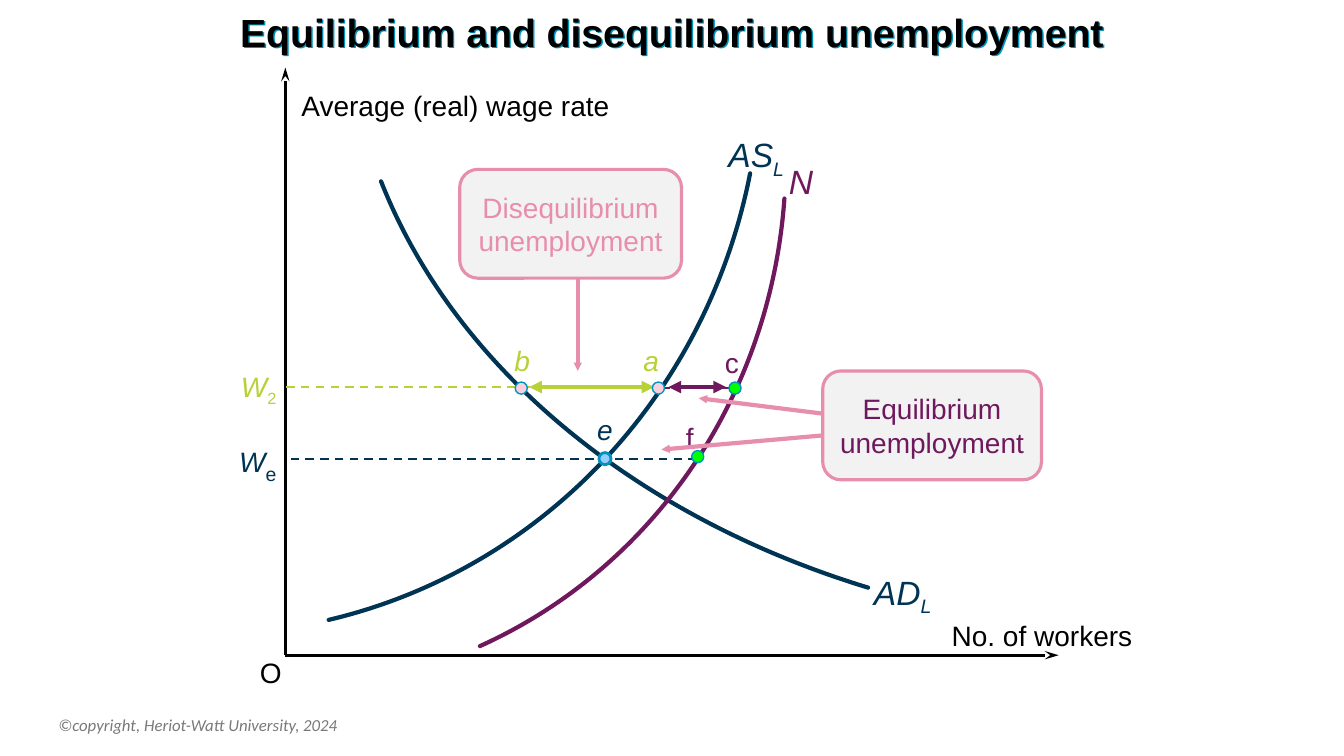
from lxml.etree import SubElement
from pptx import Presentation
from pptx.dml.color import RGBColor
from pptx.enum.dml import MSO_LINE
from pptx.enum.shapes import MSO_CONNECTOR, MSO_SHAPE
from pptx.enum.text import MSO_ANCHOR, MSO_AUTO_SIZE, PP_ALIGN
from pptx.oxml.ns import qn
from pptx.util import Inches, Pt

BLACK = RGBColor(0x00, 0x00, 0x00)
NAVY = RGBColor(0x00, 0x34, 0x54)
PLUM = RGBColor(0x6F, 0x18, 0x5E)
LIME = RGBColor(0xB8, 0xD1, 0x37)
PINK = RGBColor(0xE8, 0x8E, 0xAD)
BLUSH = RGBColor(0xF9, 0xD0, 0xDE)
GREEN = RGBColor(0x00, 0xFF, 0x00)
SKY = RGBColor(0x99, 0xCC, 0xFF)
TEAL = RGBColor(0x00, 0x94, 0xBD)
PALE = RGBColor(0xF2, 0xF2, 0xF2)
GREY = RGBColor(0x79, 0x79, 0x79)
LEFT, MID, RIGHT = PP_ALIGN.LEFT, PP_ALIGN.CENTER, PP_ALIGN.RIGHT

TITLE = "Equilibrium and disequilibrium unemployment"
FOOTER = "©copyright, Heriot-Watt University, 2024"

# arrowheads
BARB = {"type": "stealth", "w": "med", "len": "lg"}
WEDGE = {"type": "triangle", "w": "med", "len": "med"}
SMALL = {"type": "triangle", "w": "sm", "len": "sm"}

# start, two control points, end; colour
CURVES = [
    ([(7.44, 1.72), (7.01, 3.92), (5.38, 5.65), (3.26, 6.15)], NAVY),
    ([(8.61, 5.83), (6.28, 5.12), (4.5, 3.63), (3.78, 1.8)], NAVY),
    ([(7.78, 1.97), (7.64, 3.93), (6.49, 5.63), (4.76, 6.41)], PLUM),
]
# from, to, colour, width, dashed, head, tail
AXES = [
    ((2.83, 0.67), (2.83, 6.5), BLACK, 2, False, BARB, None),
    ((2.83, 6.5), (10.5, 6.5), BLACK, 2, False, None, BARB),
]
LEVELS = [
    ((6.56, 3.85), (7.3, 3.85), PLUM, 1.5, True, None, None),
    ((6.63, 3.84), (7.2, 3.84), PLUM, 3, False, WEDGE, WEDGE),
    ((2.84, 3.84), (6.52, 3.84), LIME, 1.5, True, None, None),
    ((5.25, 3.84), (6.49, 3.84), LIME, 3, False, WEDGE, WEDGE),
    ((6.91, 4.55), (2.84, 4.55), NAVY, 1.5, True, None, None),
]
POINTERS = [
    ((5.73, 2.76), (5.73, 3.68), PINK, 3, False, None, SMALL),
    ((8.21, 4.11), (6.93, 3.95), PINK, 3, False, None, SMALL),
    ((8.16, 4.32), (6.56, 4.46), PINK, 3, False, None, SMALL),
]
# centre, fill, line width
DOTS = [
    ((5.17, 3.85), BLUSH, 1),
    ((6.53, 3.85), BLUSH, 1),
    ((7.29, 3.85), GREEN, 1),
    ((6, 4.55), SKY, 2),
    ((6.92, 4.53), GREEN, 1),
]
# left, top, width, text, size, colour, italic, align, subscript (text, size, italic)
LABELS = [
    (2.48, 6.45, 0.42, "O", 20, BLACK, False, LEFT, None),
    (2.89, 0.83, 3.28, "Average (real) wage rate", 20, BLACK, False, LEFT, None),
    (9.33, 6.09, 2.01, "No. of workers", 20, BLACK, False, MID, None),
    (7.11, 1.28, 0.78, "AS", 24, NAVY, True, MID, ("L", 24, True)),
    (8.57, 5.62, 0.8, "AD", 24, NAVY, True, LEFT, ("L", 24, True)),
    (7.72, 1.55, 0.45, "N", 24, PLUM, True, MID, None),
    (2.27, 3.62, 0.57, "W", 20, LIME, True, RIGHT, ("2", 20, False)),
    (2.25, 4.31, 0.59, "W", 20, NAVY, True, RIGHT, ("e", 24, False)),
    (5, 3.36, 0.36, "b", 20, LIME, True, MID, None),
    (6.28, 3.36, 0.36, "a", 20, LIME, True, MID, None),
    (7.09, 3.38, 0.34, "c", 20, PLUM, False, MID, None),
    (5.82, 4.04, 0.36, "e", 20, NAVY, True, MID, None),
    (6.7, 4.12, 0.28, "f", 20, PLUM, False, MID, None),
]
# left, top, width, lines, colour
BOXES = [
    (4.56, 1.68, 2.2, ["Disequilibrium", "unemployment"], PINK),
    (8.16, 3.68, 2.17, ["Equilibrium", "unemployment"], PLUM),
]

deck = Presentation()
deck.slide_width, deck.slide_height = Inches(13.33), Inches(7.5)
slide = deck.slides.add_slide(deck.slide_layouts[6])
shapes = slide.shapes


def add_run(para, text, color, **form):
    run = para.add_run()
    run.text = text
    run.font.color.rgb = color
    for key, value in {"name": "Arial", **form}.items():
        setattr(run.font, key, value)
    return run


def add_text(left, top, width, height, **form):
    """Add an empty text box with its frame set from the form."""
    box = shapes.add_textbox(*map(Inches, (left, top, width, height)))
    for key, value in form.items():
        setattr(box.text_frame, key, value)
    return box


def add_line(start, end, color, width, dashed, head, tail):
    link = shapes.add_connector(MSO_CONNECTOR.STRAIGHT, *map(Inches, start + end))
    link.line.color.rgb = color
    link.line.width = Pt(width)
    if dashed:
        link.line.dash_style = MSO_LINE.DASH
    for tag, tip in (("a:headEnd", head), ("a:tailEnd", tail)):
        if tip:
            SubElement(link.line._get_or_add_ln(), qn(tag), **tip)
    SubElement(link._element.spPr, qn("a:effectLst"))


def add_curve(knots, color):
    """Draw one cubic curve by joining the three segments into a Bezier."""
    points = [tuple(map(Inches, knot)) for knot in knots]
    draft = shapes.build_freeform(*points[0])
    draft.add_line_segments(points[1:], close=False)
    curve = draft.convert_to_shape()
    lines = list(curve._element.iter(qn("a:lnTo")))
    bend = SubElement(lines[0].getparent(), qn("a:cubicBezTo"))
    for line in lines:
        bend.append(line[0])
        line.getparent().remove(line)
    curve.shadow.inherit = False
    curve.fill.background()
    curve.line.color.rgb = color
    curve.line.width = Pt(3)
    curve.line._get_or_add_ln().set("cap", "rnd")


def add_form(kind, left, top, width, height, fill, edge, weight):
    form = shapes.add_shape(kind, *map(Inches, (left, top, width, height)))
    form.shadow.inherit = False
    form.fill.solid()
    form.fill.fore_color.rgb = fill
    form.line.color.rgb = edge
    form.line.width = Pt(weight)
    return form


def add_label(left, top, width, text, size, color, italic, align, sub):
    box = add_text(left, top, width, 0.51 if size == 24 else 0.44,
                   word_wrap=False, auto_size=MSO_AUTO_SIZE.SHAPE_TO_FIT_TEXT)
    para = box.text_frame.paragraphs[0]
    para.alignment = align
    add_run(para, text, color, size=Pt(size), italic=italic)
    if sub:
        low, low_size, low_italic = sub
        run = add_run(para, low, color, size=Pt(low_size), italic=low_italic)
        run._r.get_or_add_rPr().set("baseline", "-25000")


def add_box(left, top, width, lines, color):
    box = add_form(MSO_SHAPE.ROUNDED_RECTANGLE, left, top, width, 1.08, PALE, PINK, 2.25)
    frame = box.text_frame
    frame.word_wrap = False
    frame.vertical_anchor = MSO_ANCHOR.MIDDLE
    for i, text in enumerate(lines):
        para = frame.add_paragraph() if i else frame.paragraphs[0]
        para.alignment = MID
        add_run(para, text, color, size=Pt(20))


def add_title():
    """Add the heading, whose letters cast a hard teal shadow."""
    box = add_text(0, -0.02, 13.33, 0.62, word_wrap=True, margin_top=Inches(0.1),
                   auto_size=MSO_AUTO_SIZE.SHAPE_TO_FIT_TEXT)
    para = box.text_frame.paragraphs[0]
    para.alignment = MID
    add_run(para, TITLE, BLACK, size=Pt(28), bold=True)
    effects = SubElement(box._element.spPr, qn("a:effectLst"))
    shadow = SubElement(effects, qn("a:outerShdw"), dist="17961", dir="2700000")
    SubElement(shadow, qn("a:srgbClr"), val=str(TEAL))


foot = add_text(0.48, 6.99, 4.5, 0.4, word_wrap=True, vertical_anchor=MSO_ANCHOR.MIDDLE)
add_run(foot.text_frame.paragraphs[0], FOOTER, GREY,
        name="Calibri", size=Pt(12), italic=True)
for axis in AXES:
    add_line(*axis)
for curve in CURVES:
    add_curve(*curve)
for level in LEVELS:
    add_line(*level)
for (x, y), fill, weight in DOTS:
    add_form(MSO_SHAPE.OVAL, x - 0.06, y - 0.06, 0.12, 0.12, fill, TEAL, weight)
for label in LABELS:
    add_label(*label)
for pointer in POINTERS:
    add_line(*pointer)
for box in BOXES:
    add_box(*box)
add_title()
deck.save("out.pptx")
